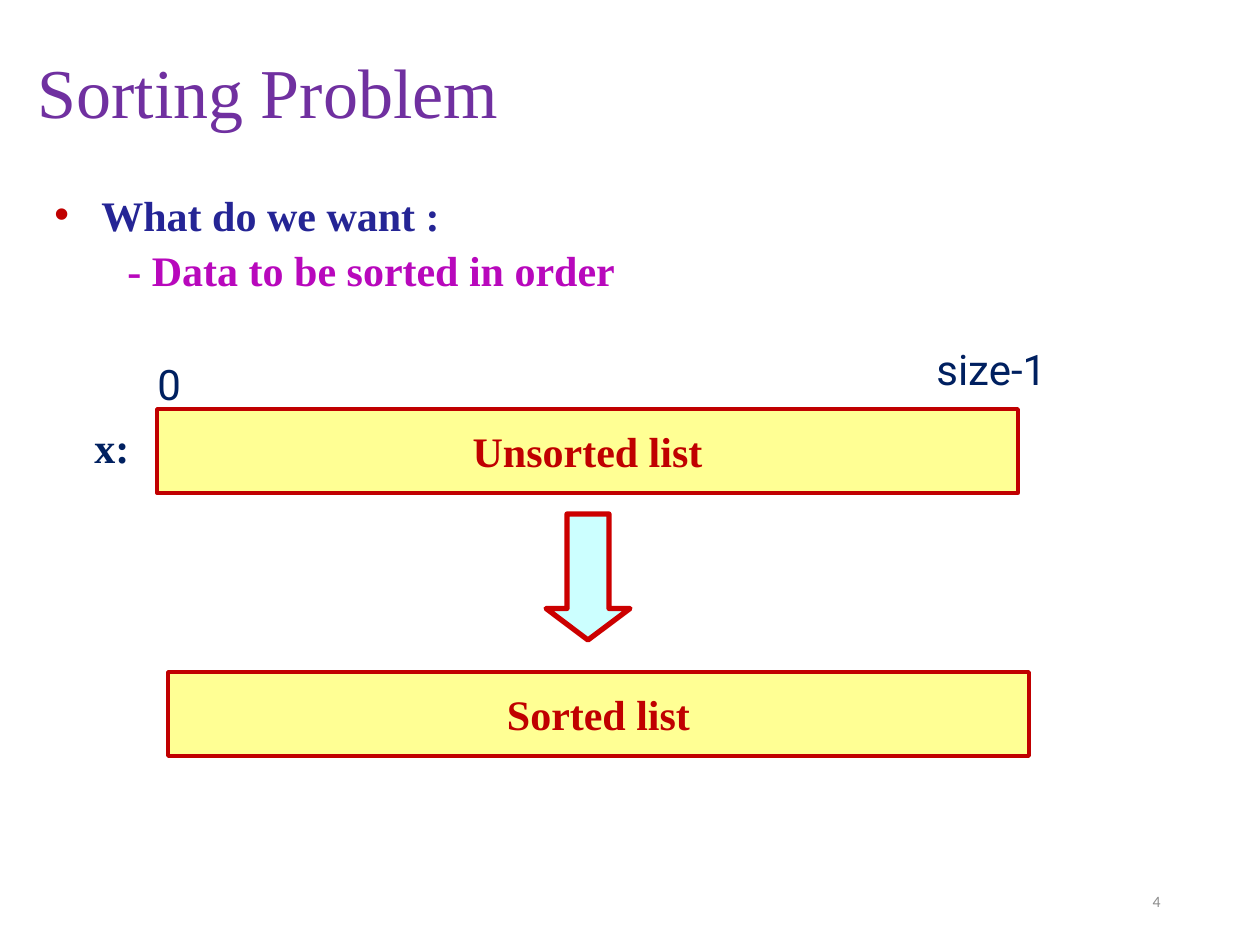
"""Build the sorting problem slide: an unsorted list turning into a sorted one."""
from lxml import etree
from pptx import Presentation
from pptx import util as u
from pptx.dml import color
from pptx.enum import shapes, text
from pptx.oxml import ns

EMU_PER_PX = 914400 / 126
SERIF, SANS, SMALL = "Times New Roman", "Roboto", "Calibri"
COLORS = {
    "title": "7030A0", "question": "252595", "answer": "B808BC",
    "red": "C00000", "label": "002060", "number": "8C8C8C",
    "list": "FFFF00", "arrow": "CCFFFF", "arrow_line": "CC0000",
}


def px(length):
    """Turn pixels into EMU."""
    return u.Emu(round(length * EMU_PER_PX))


def rgb(name):
    """Look up a named colour."""
    return color.RGBColor.from_string(COLORS[name])


class SlideBuilder:
    """Holds the style and the current slide."""

    def __init__(self, presentation):
        """Add a title-only slide."""
        self.slide = presentation.slides.add_slide(presentation.slide_layouts[5])

    def add_run(self, paragraph, words, hue, size=24, font=SERIF, bold=False):
        """Add one formatted run."""
        run = paragraph.add_run()
        run.text = words
        run.font.name, run.font.size, run.font.bold = font, u.Pt(size), bold
        run.font.color.rgb = rgb(hue)

    def title(self, words, left, top, width, height):
        """Place and fill the title."""
        shape = self.slide.shapes.title
        shape.left, shape.top, shape.width, shape.height = map(px, (left, top, width, height))
        frame = shape.text_frame
        frame.auto_size = text.MSO_AUTO_SIZE.NONE
        frame.vertical_anchor = text.MSO_ANCHOR.MIDDLE
        paragraph = frame.paragraphs[0]
        paragraph.alignment = text.PP_ALIGN.LEFT
        paragraph.line_spacing = 0.9
        self.add_run(paragraph, words, "title", 40)

    def text_box(self, left, top, width, height, wrap=True):
        """Add an empty text box and return its frame."""
        frame = self.slide.shapes.add_textbox(*map(px, (left, top, width, height))).text_frame
        frame.word_wrap = wrap
        return frame

    def label(self, words, left, top, width, wrap=False, **style):
        """Add a one-line label that grows with its text."""
        frame = self.text_box(left, top, width, 63, wrap)
        frame.auto_size = text.MSO_AUTO_SIZE.SHAPE_TO_FIT_TEXT
        self.add_run(frame.paragraphs[0], words, "label", **style)

    def indent(self, paragraph, margin, first=0, bullet=None):
        """Set a paragraph's indents and optional bullet."""
        properties = paragraph._p.get_or_add_pPr()
        properties.set("marL", str(px(margin)))
        properties.set("indent", str(px(first)))
        if bullet:
            bullet_color = etree.SubElement(properties, ns.qn("a:buClr"))
            etree.SubElement(bullet_color, ns.qn("a:srgbClr"), val=COLORS["red"])
            etree.SubElement(properties, ns.qn("a:buFont"), typeface="Arial")
            etree.SubElement(properties, ns.qn("a:buChar"), char=bullet)

    def points(self, question, answer, left, top, width, height):
        """Add the bulleted question and its indented answer."""
        frame = self.text_box(left, top, width, height)
        frame.margin_top = px(10)
        first, second = frame.paragraphs[0], frame.add_paragraph()
        self.indent(first, 47, -47, "•")
        self.indent(second, 73)
        second.space_before = u.Pt(3)
        self.add_run(first, question, "question", bold=True)
        self.add_run(second, answer, "answer", bold=True)

    def shape(self, kind, fill, line, line_width, left, top, width, height):
        """Add a filled and outlined preset shape."""
        shape = self.slide.shapes.add_shape(kind, *map(px, (left, top, width, height)))
        shape.shadow.inherit = False
        shape.fill.solid()
        shape.fill.fore_color.rgb = rgb(fill)
        shape.line.color.rgb = rgb(line)
        shape.line.width = u.Pt(line_width)
        return shape

    def list_bar(self, words, left, top):
        """Add a translucent bar that stands for a list."""
        bar = self.shape(shapes.MSO_SHAPE.RECTANGLE, "list", "red", 2, left, top, 861, 84)
        fill = bar._element.spPr.find(ns.qn("a:solidFill"))
        etree.SubElement(fill[0], ns.qn("a:alpha"), val="42000")
        frame = bar.text_frame
        frame.word_wrap = False
        frame.vertical_anchor = text.MSO_ANCHOR.MIDDLE
        paragraph = frame.paragraphs[0]
        paragraph.alignment = text.PP_ALIGN.CENTER
        self.add_run(paragraph, words, "red", bold=True)

    def down_arrow(self, left, top, width, height):
        """Add the arrow between the lists."""
        arrow = self.shape(shapes.MSO_SHAPE.DOWN_ARROW, "arrow", "arrow_line", 3,
                           left, top, width, height)
        arrow.adjustments[0], arrow.adjustments[1] = 0.5, 0.375

    def page_number(self, words, left, top, width, height):
        """Add the right-aligned page number."""
        frame = self.text_box(left, top, width, height)
        frame.vertical_anchor = text.MSO_ANCHOR.MIDDLE
        paragraph = frame.paragraphs[0]
        paragraph.alignment = text.PP_ALIGN.RIGHT
        self.add_run(paragraph, words, "number", 9, SMALL)


def main():
    """Build and save the presentation."""
    presentation = Presentation()
    presentation.slide_width, presentation.slide_height = px(1260), px(945)
    builder = SlideBuilder(presentation)
    builder.page_number("4", 890, 876, 283, 50)
    builder.title("Sorting Problem", 25, 26, 1201, 139)
    builder.list_bar("Unsorted list", 157, 409)
    builder.points("What do we want :", "- Data to be sorted in order", 42, 179, 1187, 147)
    builder.label("x:", 82, 415, 60, bold=True)
    builder.label("0", 145, 352, 49, font=SANS)
    builder.label("size-1", 924, 337, 179, wrap=True, font=SANS)
    builder.list_bar("Sorted list", 168, 672)
    builder.down_arrow(546, 514, 84, 126)
    presentation.save("out.pptx")


if __name__ == "__main__":
    main()
